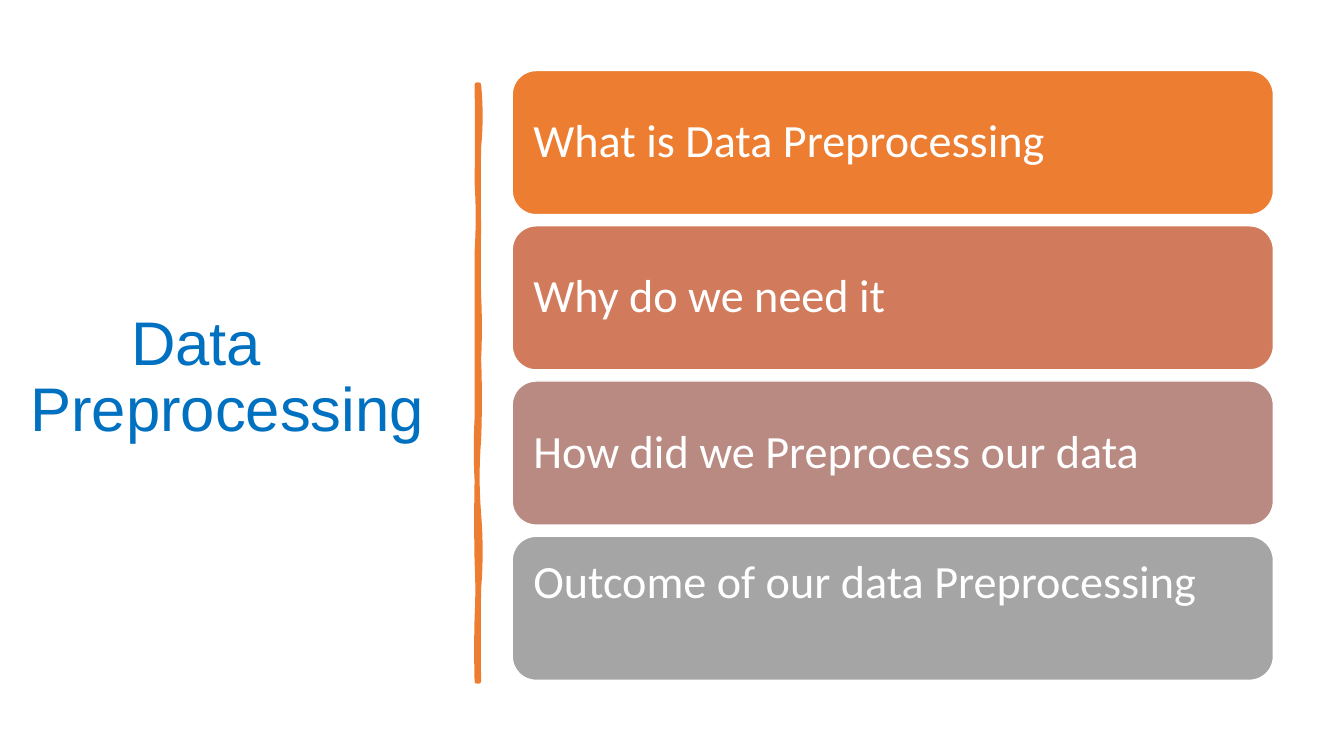
import pptx
import pptx.util
import pptx.dml.color
import pptx.enum.shapes
import pptx.enum.text
import pptx.oxml.ns
import lxml.etree

Inches = pptx.util.Inches
Pt = pptx.util.Pt
COLORS = {"title": "0070C0", "accent": "ED7D31", "white": "FFFFFF"}
TOPICS = [
    ("What is Data Preprocessing", "ED7D31"),
    ("Why do we need it", "D17B5C"),
    ("How did we Preprocess our data", "B98A82"),
    ("Outcome of our data Preprocessing", "A5A5A5"),
]


def color(value):
    return pptx.dml.color.RGBColor.from_string(value)


def write(para, text, font, size, value):
    para.alignment = pptx.enum.text.PP_ALIGN.LEFT
    para.line_spacing = 0.9
    span = para.add_run()
    span.text = text
    span.font.name = font
    span.font.size = Pt(size)
    span.font.color.rgb = color(value)


deck = pptx.Presentation()
deck.slide_width = Inches(13.33)
deck.slide_height = Inches(7.5)
page = deck.slides.add_slide(deck.slide_layouts[5])

# Title, its first line indented by a tab stop
title = page.shapes.title
title.left, title.top = Inches(0.2), Inches(0.7)
title.width, title.height = Inches(4.23), Inches(6.11)
frame = title.text_frame
frame.word_wrap = True
frame.auto_size = pptx.enum.text.MSO_AUTO_SIZE.NONE
frame.vertical_anchor = pptx.enum.text.MSO_ANCHOR.MIDDLE
para = frame.paragraphs[0]
qn = pptx.oxml.ns.qn
stops = lxml.etree.SubElement(para._p.get_or_add_pPr(), qn("a:tabLst"))
lxml.etree.SubElement(stops, qn("a:tab"), pos=str(Inches(1)), algn="l")
write(para, "\tData Preprocessing", "Arial", 44, COLORS["title"])

# Hand-drawn divider: each edge bulges between its resting points
right_edge = [(4.77, 1.46), (4.745, 2.26), (4.745, 2.94), (4.76, 3.56), (4.76, 4.36),
              (4.73, 5.1), (4.77, 5.84), (4.745, 6.76)]
left_edge = [(4.725, 6.13), (4.74, 5.57), (4.725, 4.77), (4.72, 4.15), (4.73, 3.35),
             (4.73, 2.5), (4.745, 1.81), (4.735, 0.84)]
outline = []
start = 0.84
for rest, edge in ((4.75, right_edge), (4.73, left_edge)):
    outline.append((rest, start))
    for control, end in edge:
        for step in range(1, 9):
            t = step / 8
            x = rest + (control - rest) * 3 * t * (1 - t)
            outline.append((x, start + (end - start) * t))
        start = end
points = [(Inches(x), Inches(y)) for x, y in outline]
builder = page.shapes.build_freeform(*points[0])
builder.add_line_segments(points[1:], close=True)
divider = builder.convert_to_shape()
divider.shadow.inherit = False
divider.fill.solid()
divider.fill.fore_color.rgb = color(COLORS["accent"])
divider.line.color.rgb = color(COLORS["accent"])
divider.line.width = Pt(3.25)
lxml.etree.SubElement(divider.line._get_or_add_ln(), qn("a:round"))

# Topic cards
for row, (topic, fill) in enumerate(TOPICS):
    card = page.shapes.add_shape(
        pptx.enum.shapes.MSO_SHAPE.ROUNDED_RECTANGLE,
        Inches(5.08), Inches(0.7 + 1.54 * row), Inches(7.55), Inches(1.43))
    card.shadow.inherit = False
    card.fill.solid()
    card.fill.fore_color.rgb = color(fill)
    card.line.color.rgb = color(COLORS["white"])
    card.line.width = Pt(1)
    frame = card.text_frame
    frame.word_wrap = True
    frame.vertical_anchor = pptx.enum.text.MSO_ANCHOR.MIDDLE
    frame.margin_left = frame.margin_right = Inches(0.14)
    frame.margin_top = frame.margin_bottom = Inches(0.14)
    write(frame.paragraphs[0], topic, "Calibri", 33, COLORS["white"])

# The last topic sits one line higher in its card
frame.margin_bottom = Inches(0.64)

deck.save("out.pptx")
